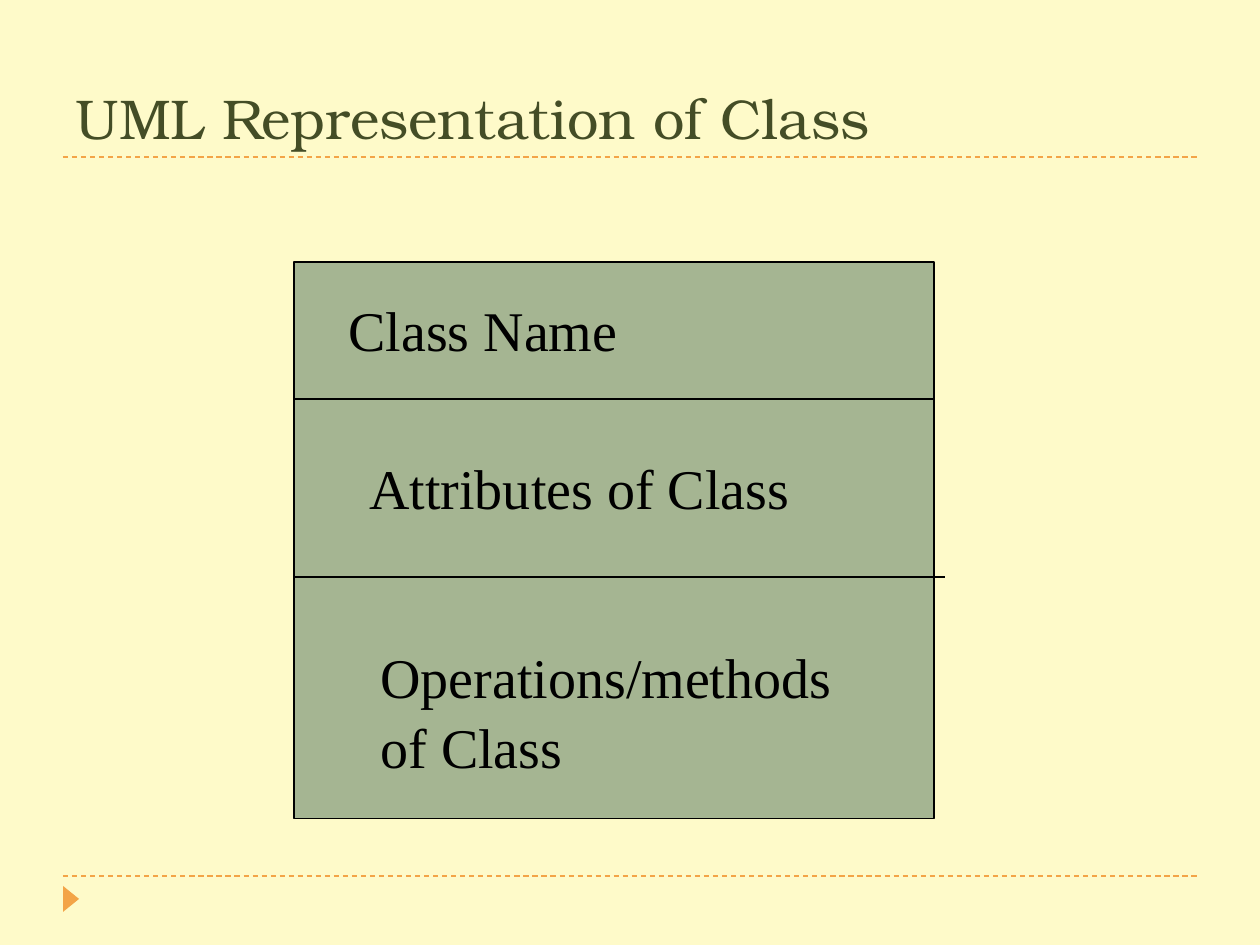
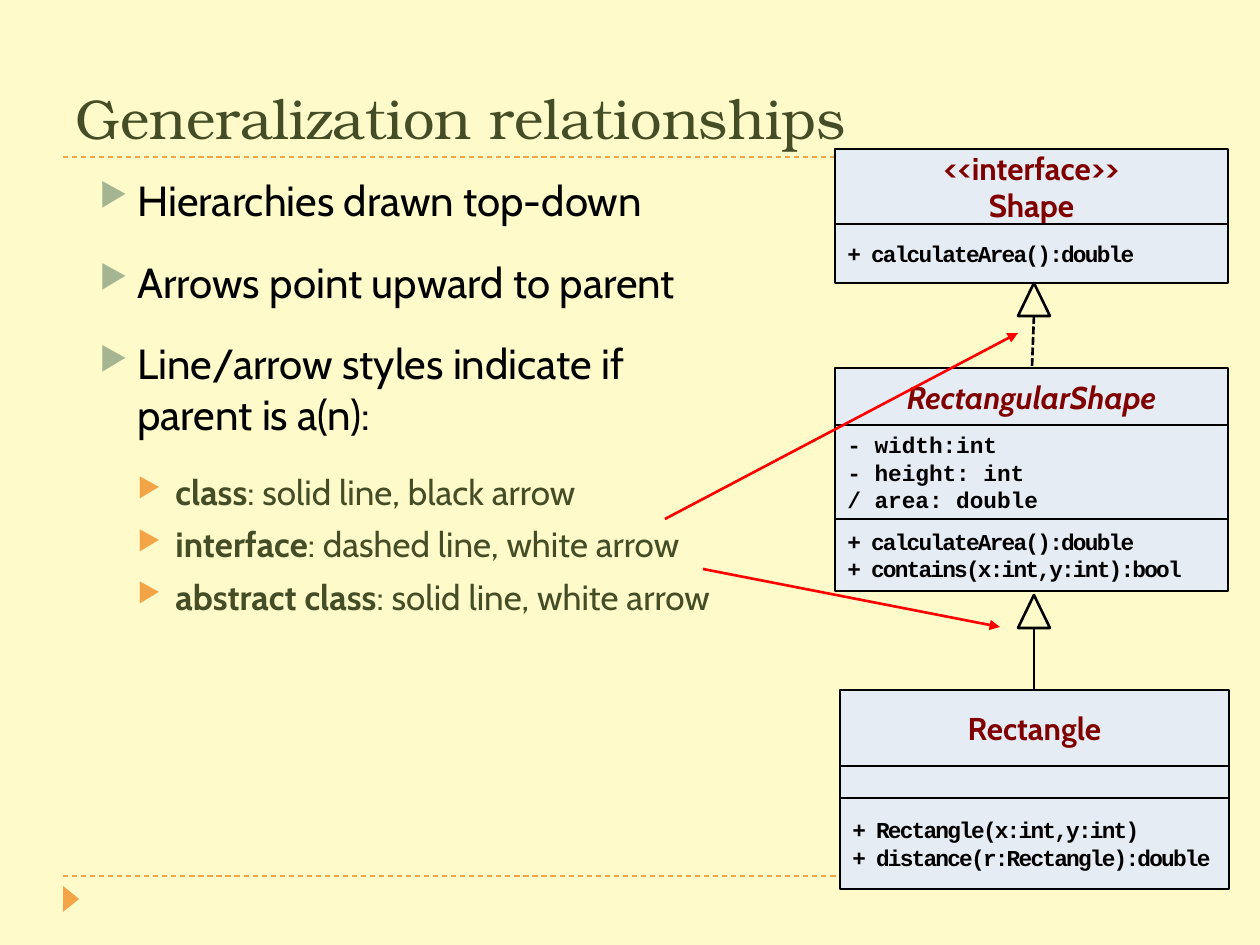
"""Build two UML slides: the parts of a class and generalization relationships."""
from lxml.etree import SubElement
from pptx import Presentation
from pptx.dml.color import RGBColor
from pptx.enum.dml import MSO_LINE
from pptx.enum.shapes import MSO_CONNECTOR, MSO_SHAPE
from pptx.enum.text import MSO_ANCHOR, PP_ALIGN
from pptx.oxml.ns import qn
from pptx.util import Inches, Pt

PX = 7257
CREAM, OLIVE, SAGE, ORANGE = "FEFAC9", "444D26", "A5B592", "F3A447"
ICE, MAROON, RED, BLACK = "E6ECF3", "800000", "FF0000", "000000"
color = RGBColor.from_string


def add_box(shapes, kind, bounds, text="", fill=None, line=None, line_width=1.5, font="Cabin",
            size=18, ink=BLACK, bold=False, italic=False, tracking=0,
            align=PP_ALIGN.LEFT, anchor=MSO_ANCHOR.MIDDLE):
    """Add a shape, or a text box when kind is None; "|" ends a bold lead-in."""
    bounds = [value * PX for value in bounds]
    if kind is None:
        shape = shapes.add_textbox(*bounds)
    else:
        shape = shapes.add_shape(kind, *bounds)
        shape.shadow.inherit = False
        if fill:
            shape.fill.solid()
            shape.fill.fore_color.rgb = color(fill)
        else:
            shape.fill.background()
        if line:
            shape.line.color.rgb = color(line)
            shape.line.width = Pt(line_width)
        else:
            shape.line.fill.background()
    frame = shape.text_frame
    frame.word_wrap = True
    frame.vertical_anchor = anchor
    for index, content in enumerate(text.split("\n") if text else []):
        paragraph = frame.add_paragraph() if index else frame.paragraphs[0]
        paragraph.alignment = align
        parts = content.split("|")
        for position, part in enumerate(parts):
            run = paragraph.add_run()
            run.text = part
            run.font.name = font
            run.font.size = Pt(size)
            run.font.color.rgb = color(ink)
            run.font.bold = bold or position < len(parts) - 1
            run.font.italic = italic
            if tracking:
                run.font._element.set("spc", str(tracking * 100))
    return shape


def add_line(shapes, ends, ink=BLACK, width=1.5, dash=None, arrow=False):
    """Add a straight line, with an arrowhead at its end if asked."""
    connector = shapes.add_connector(MSO_CONNECTOR.STRAIGHT, *[value * PX for value in ends])
    connector.line.color.rgb = color(ink)
    connector.line.width = Pt(width)
    if dash:
        connector.line.dash_style = dash
    if arrow:
        SubElement(connector.line._get_or_add_ln(), qn("a:tailEnd"), type="triangle")
    SubElement(connector._element.spPr, qn("a:effectLst"))


presentation = Presentation()
presentation.slide_width, presentation.slide_height = Inches(10), Inches(7.5)

slides = []
for title in ("UML Representation of Class", "Generalization relationships"):
    slide = presentation.slides.add_slide(presentation.slide_layouts[6])
    slide.background.fill.solid()
    slide.background.fill.fore_color.rgb = color(CREAM)
    for y in (876, 157):
        add_line(slide.shapes, (63, y, 1197, y), ORANGE, 0.75, MSO_LINE.DASH)
    marker = add_box(slide.shapes, MSO_SHAPE.ISOSCELES_TRIANGLE, (58, 891, 26, 16), fill=ORANGE)
    marker.rotation = 90
    add_box(slide.shapes, None, (63, 21, 1134, 136), title, font="TeX Gyre Bonum",
            size=32, ink=OLIVE, anchor=MSO_ANCHOR.BOTTOM)
    slides.append(slide)
class_slide, generalization_slide = slides

shapes = class_slide.shapes
add_box(shapes, MSO_SHAPE.RECTANGLE, (294, 262, 640, 557), fill=SAGE, line=BLACK, line_width=0.75)
for right, y in ((934, 399), (945, 577)):
    add_line(shapes, (294, y, right, y), width=0.75)
for bounds, label in (
    ((336, 283, 452, 79), "Class Name"),
    ((357, 441, 504, 79), "Attributes of Class"),
    ((368, 630, 535, 147), "Operations/methods of Class"),
):
    box = add_box(shapes, None, bounds, label, font="Times New Roman", size=32,
                  anchor=MSO_ANCHOR.TOP)
    box.text_frame.margin_top = 10 * PX
    box.text_frame.paragraphs[0].line_spacing = 1.04

shapes = generalization_slide.shapes
bullets = [
    (0, "Hierarchies drawn top-down"),
    (0, "Arrows point upward to parent"),
    (0, "Line/arrow styles indicate if parent is a(n):"),
    (1, "class|: solid line, black arrow"),
    (1, "interface|: dashed line, white arrow"),
    (1, "abstract class|: solid line, white arrow"),
]
body = add_box(shapes, None, (87, 168, 669, 683), "\n".join(text for _, text in bullets),
               size=24, anchor=MSO_ANCHOR.TOP)
for index, (level, _) in enumerate(bullets):
    paragraph = body.text_frame.paragraphs[index]
    paragraph.level = level
    paragraph.space_before = Pt(6 if index else 0)
    paragraph.space_after = Pt(0 if level else 12)
    properties = paragraph._p.get_or_add_pPr()
    properties.set("marL", str(38 * PX * (level + 1)))
    properties.set("indent", str(-38 * PX))
    bullet_color = SubElement(properties, qn("a:buClr"))
    SubElement(bullet_color, qn("a:srgbClr"), val=ORANGE if level else SAGE)
    SubElement(properties, qn("a:buSzPct"), val="76000")
    SubElement(properties, qn("a:buChar"), char="▶")
    if level:
        for run in paragraph.runs:
            run.font.size = Pt(20)
            run.font.color.rgb = color(OLIVE)

heading = dict(ink=MAROON, align=PP_ALIGN.CENTER)
members = dict(font="Courier New", size=13)
tight_members = dict(members, tracking=-1)
class_diagrams = [
    (835, 393, [
        (149, 75, "<<interface>>\nShape", heading),
        (224, 59, "+ calculateArea():double", tight_members),
    ]),
    (835, 393, [
        (368, 57, "RectangularShape", dict(heading, italic=True)),
        (425, 94, "- width:int\n- height: int\n/ area: double", members),
        (519, 72, "+ calculateArea():double\n+ contains(x:int,y:int):bool", tight_members),
    ]),
    (840, 389, [
        (690, 76, "Rectangle", heading),
        (766, 34, "", members),
        (798, 91, "+ Rectangle(x:int,y:int)\n+ distance(r:Rectangle):double", tight_members),
    ]),
]
for left, width, compartments in class_diagrams:
    group = shapes.add_group_shape()
    for top, height, text, style in compartments:
        add_box(group.shapes, MSO_SHAPE.FLOWCHART_PROCESS, (left, top, width, height), text,
                fill=ICE, line=BLACK, bold=True, **style)

for top in (283, 595):
    add_box(shapes, MSO_SHAPE.ISOSCELES_TRIANGLE, (1018, top, 32, 33), line=BLACK)
add_line(shapes, (1034, 316, 1032, 368), dash=MSO_LINE.SQUARE_DOT)
add_line(shapes, (1034, 628, 1034, 690))
for ends in ((703, 569, 1000, 627), (665, 519, 1018, 333)):
    add_line(shapes, ends, RED, arrow=True)

presentation.save("out.pptx")
